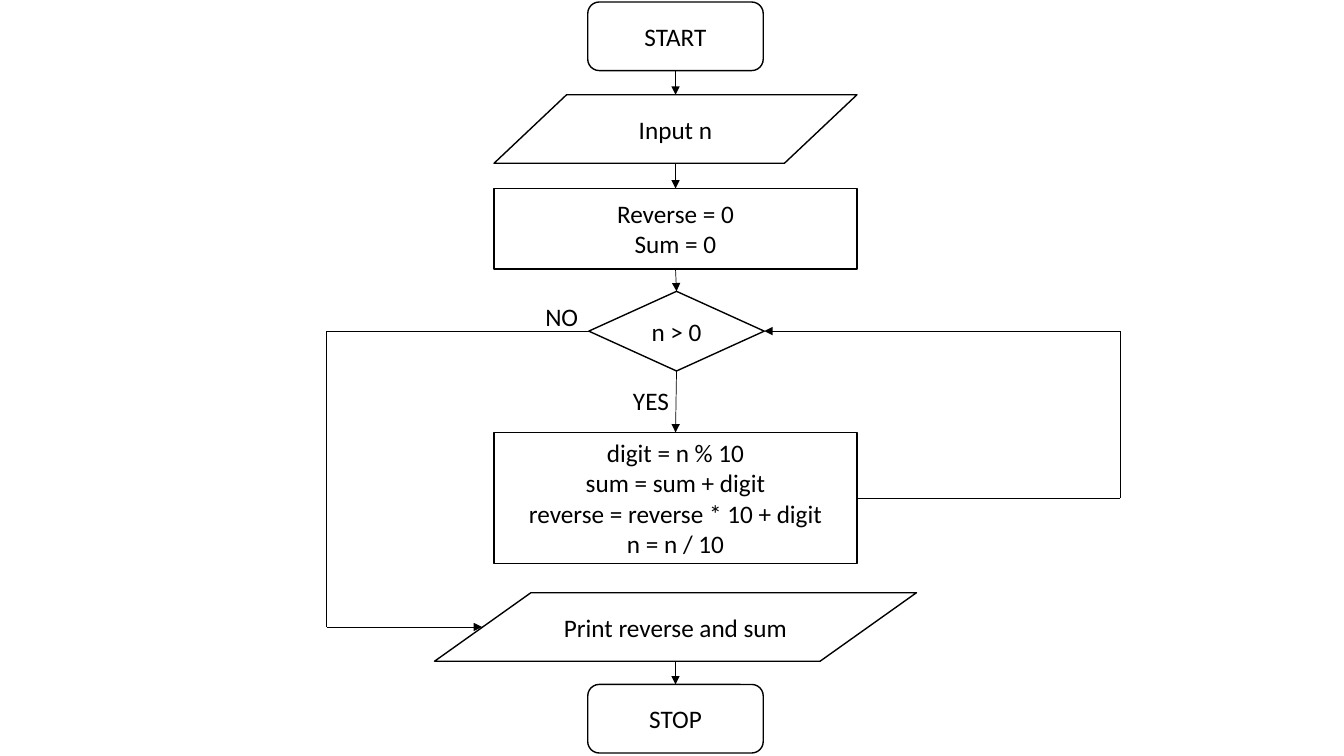
from lxml import etree
from pptx import Presentation
from pptx.dml.color import RGBColor
from pptx.enum.shapes import MSO_CONNECTOR, MSO_SHAPE as SHAPE
from pptx.enum.text import MSO_ANCHOR, MSO_AUTO_SIZE, PP_ALIGN
from pptx.oxml.ns import qn
from pptx.util import Inches, Pt

BLACK, WHITE = "000000", "FFFFFF"
TOP, LEFT, BOTTOM, RIGHT = range(4)
CENTRE = 6.7


def write_lines(text_frame, text, alignment):
    text_frame.text = text
    for paragraph in text_frame.paragraphs:
        paragraph.alignment = alignment
        paragraph.font.name = "Calibri"
        paragraph.font.size = Pt(18)
        paragraph.font.color.rgb = RGBColor.from_string(BLACK)


def add_line(points, arrow=True, begin=None, end=None):
    """Draw a line between two points; begin and end are (shape, side) joins."""
    (x1, y1), (x2, y2) = points
    line = slide.shapes.add_connector(
        MSO_CONNECTOR.STRAIGHT, Inches(x1), Inches(y1), Inches(x2), Inches(y2))
    if begin:
        line.begin_connect(*begin)
    if end:
        line.end_connect(*end)
    line.line.width = Pt(0.5)
    line.line.color.rgb = RGBColor.from_string(BLACK)
    if arrow:
        outline = line.line._get_or_add_ln()
        etree.SubElement(outline, qn("a:tailEnd"), type="triangle")
    etree.SubElement(line._element.spPr, qn("a:effectLst"))


presentation = Presentation()
presentation.slide_width = Inches(13.33)
presentation.slide_height = Inches(7.5)
slide = presentation.slides.add_slide(presentation.slide_layouts[6])

# Flowchart steps: name, shape, centre, top, width, height, text
steps = [
    ("start", SHAPE.FLOWCHART_ALTERNATE_PROCESS, CENTRE, 0.02, 1.74, 0.68, "START"),
    ("input", SHAPE.FLOWCHART_DATA, CENTRE, 0.94, 3.6, 0.68, "Input n"),
    ("reset", SHAPE.FLOWCHART_PROCESS, CENTRE, 1.87, 3.6, 0.8, "Reverse = 0\nSum = 0"),
    ("test", SHAPE.FLOWCHART_DECISION, CENTRE + 0.01, 2.89, 1.74, 0.79, "n > 0"),
    ("loop", SHAPE.FLOWCHART_PROCESS, CENTRE, 4.29, 3.6, 1.3,
     "digit = n % 10\nsum = sum + digit\nreverse = reverse * 10 + digit\nn = n / 10"),
    ("print", SHAPE.FLOWCHART_DATA, CENTRE, 5.88, 4.78, 0.68, "Print reverse and sum"),
    ("stop", SHAPE.FLOWCHART_ALTERNATE_PROCESS, CENTRE, 6.79, 1.74, 0.68, "STOP"),
]
boxes = {}
for name, kind, centre, top, width, height, text in steps:
    shape = slide.shapes.add_shape(
        kind, Inches(centre - width / 2), Inches(top), Inches(width), Inches(height))
    shape.shadow.inherit = False
    shape.fill.solid()
    shape.fill.fore_color.rgb = RGBColor.from_string(WHITE)
    shape.line.color.rgb = RGBColor.from_string(BLACK)
    shape.line.width = Pt(1)
    shape.text_frame.vertical_anchor = MSO_ANCHOR.MIDDLE
    write_lines(shape.text_frame, text, PP_ALIGN.CENTER)
    boxes[name] = shape

# Downward arrows
add_line([(CENTRE, 0.7), (CENTRE, 0.94)], begin=(boxes["start"], BOTTOM))
add_line([(CENTRE, 1.62), (CENTRE, 1.87)], end=(boxes["reset"], TOP))
add_line([(CENTRE, 2.67), (CENTRE, 2.89)],
         begin=(boxes["reset"], BOTTOM), end=(boxes["test"], TOP))
add_line([(CENTRE, 3.68), (CENTRE, 4.29)],
         begin=(boxes["test"], BOTTOM), end=(boxes["loop"], TOP))
add_line([(CENTRE, 6.56), (CENTRE, 6.79)], end=(boxes["stop"], TOP))

# Loop back on the right, exit on the left
test_y, loop_y, print_y = 3.285, 4.94, 6.22
back_x, exit_x = 11.11, 3.24
add_line([(8.5, loop_y), (back_x, loop_y)], arrow=False, begin=(boxes["loop"], RIGHT))
add_line([(back_x, loop_y), (back_x, test_y)], arrow=False)
add_line([(back_x, test_y), (7.58, test_y)], end=(boxes["test"], RIGHT))
add_line([(5.84, test_y), (exit_x, test_y)], arrow=False, begin=(boxes["test"], LEFT))
add_line([(exit_x, test_y), (exit_x, print_y)], arrow=False)
add_line([(exit_x, print_y), (4.78, print_y)])

for text, left, top, width in [("YES", 6.18, 3.77, 0.56), ("NO", 5.31, 2.94, 0.53)]:
    label = slide.shapes.add_textbox(Inches(left), Inches(top), Inches(width), Inches(0.4))
    label.text_frame.word_wrap = False
    label.text_frame.auto_size = MSO_AUTO_SIZE.SHAPE_TO_FIT_TEXT
    write_lines(label.text_frame, text, PP_ALIGN.LEFT)

presentation.save("out.pptx")
